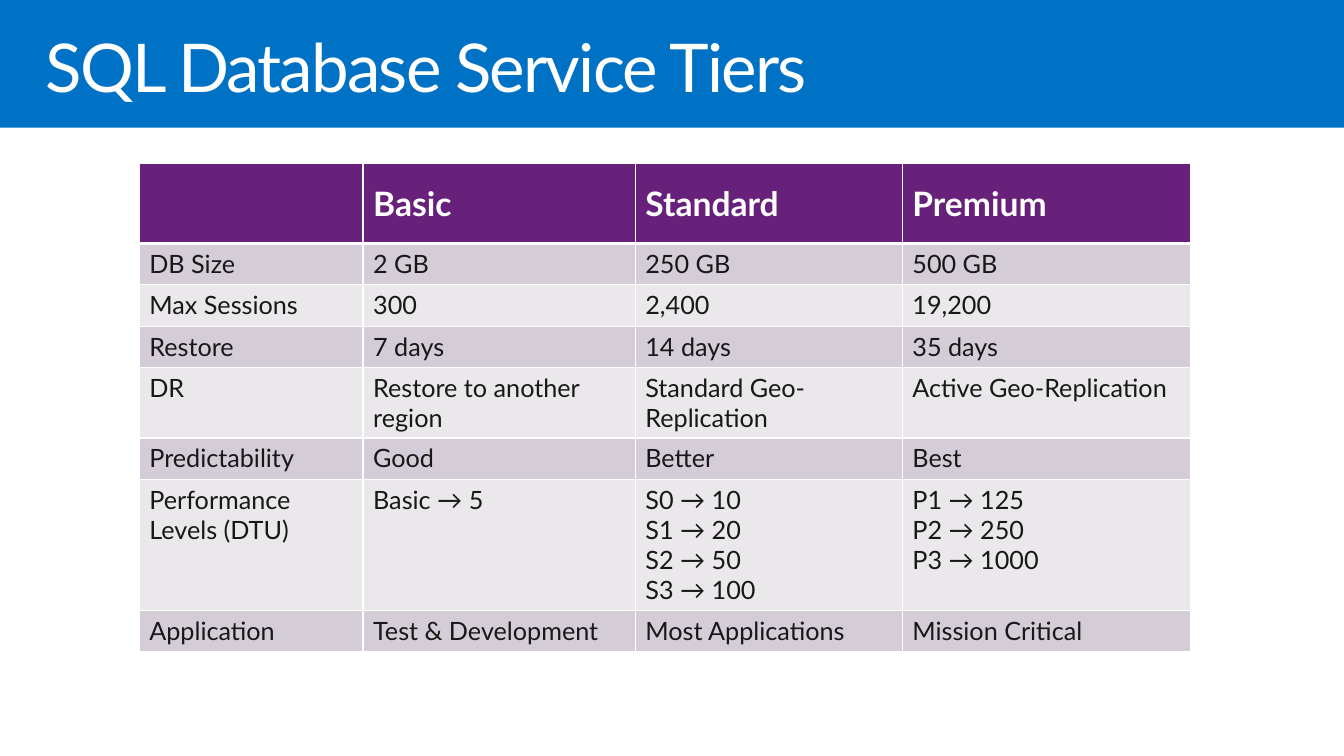
from dataclasses import dataclass

from lxml import etree
from pptx import Presentation
from pptx.dml.color import RGBColor
from pptx.enum.shapes import MSO_SHAPE
from pptx.enum.text import MSO_ANCHOR, PP_ALIGN
from pptx.oxml.ns import qn
from pptx.util import Cm, Pt

RECTANGLE = MSO_SHAPE.RECTANGLE
TOP, MIDDLE = MSO_ANCHOR.TOP, MSO_ANCHOR.MIDDLE
LEFT = PP_ALIGN.LEFT

FONT = "Lato"
BLUE, PURPLE, WHITE, INK = "0072C6", "68217A", "FFFFFF", "181818"
BANDS = ("D4CDD7", "EBE8EC")
TITLE_ONLY = 5
COLUMN_WIDTHS = (5.64, 6.86, 6.73, 7.26)
HEADER_HEIGHT, ROW_HEIGHT = 2.03, 1.04


@dataclass
class CellStyle:
    fill: str
    color: str
    size: int
    bold: bool
    anchor: MSO_ANCHOR
    top: int = 1
    bottom: int = 1


TIERS = [
    ("", "Basic", "Standard", "Premium"),
    ("DB Size", "2 GB", "250 GB", "500 GB"),
    ("Max Sessions", "300", "2,400", "19,200"),
    ("Restore", "7 days", "14 days", "35 days"),
    ("DR", "Restore to another region", "Standard Geo-Replication",
     "Active Geo-Replication"),
    ("Predictability", "Good", "Better", "Best"),
    ("Performance Levels (DTU)", "Basic → 5",
     "S0 → 10\nS1 → 20\nS2 → 50\nS3 → 100",
     "P1 → 125\nP2 → 250\nP3 → 1000"),
    ("Application", "Test & Development", "Most Applications",
     "Mission Critical"),
]


def rgb(value: str) -> RGBColor:
    return RGBColor.from_string(value)


def format_text(tf, size: int, color: str, bold: bool = False) -> None:
    for p in tf.paragraphs:
        for r in p.runs:
            r.font.name = FONT
            r.font.size = Pt(size)
            r.font.bold = bold
            r.font.color.rgb = rgb(color)


def add_border(cell, side: str, width: int) -> None:
    tc_pr = cell._tc.get_or_add_tcPr()
    ln = etree.SubElement(tc_pr, qn(f"a:ln{side}"), w=str(Pt(width)))
    fill = etree.SubElement(ln, qn("a:solidFill"))
    etree.SubElement(fill, qn("a:srgbClr"), val=WHITE)


def fill_cell(cell, text: str, style: CellStyle) -> None:
    cell.text_frame.text = text
    format_text(cell.text_frame, style.size, style.color, style.bold)
    cell.vertical_anchor = style.anchor
    # Borders come before the fill in the cell properties
    for side, width in zip("LRTB", (1, 1, style.top, style.bottom)):
        add_border(cell, side, width)
    cell.fill.solid()
    cell.fill.fore_color.rgb = rgb(style.fill)


def row_style(row: int) -> CellStyle:
    if row == 0:
        return CellStyle(PURPLE, WHITE, 24, True, MIDDLE, bottom=3)
    return CellStyle(BANDS[(row - 1) % 2], INK, 18, False, TOP,
                     top=3 if row == 1 else 1)


def add_title(slide, text: str) -> None:
    # Blue band, placed behind the title
    band = slide.shapes.add_shape(RECTANGLE, 0, 0, Cm(33.87), Cm(3.22))
    band.shadow.inherit = False
    band.fill.solid()
    band.fill.fore_color.rgb = rgb(BLUE)
    band.line.fill.background()
    title = slide.shapes.title
    title._element.addprevious(band._element)

    title.left, title.top = Cm(1.15), Cm(0.86)
    title.width, title.height = Cm(30.99), Cm(1.86)
    tf = title.text_frame
    tf.text = text
    tf.margin_left = tf.margin_right = tf.margin_top = tf.margin_bottom = 0
    tf.vertical_anchor = MIDDLE
    p = tf.paragraphs[0]
    p.alignment = LEFT
    p.line_spacing = 0.9
    format_text(tf, 48, WHITE)
    p.runs[0].font._element.set("spc", "-130")


def add_tier_table(slide) -> None:
    height = HEADER_HEIGHT + ROW_HEIGHT * (len(TIERS) - 1)
    table = slide.shapes.add_table(
        len(TIERS), len(COLUMN_WIDTHS), Cm(3.51), Cm(4.11),
        Cm(sum(COLUMN_WIDTHS)), Cm(height)).table
    for column, width in zip(table.columns, COLUMN_WIDTHS):
        column.width = Cm(width)
    for i, texts in enumerate(TIERS):
        table.rows[i].height = Cm(ROW_HEIGHT if i else HEADER_HEIGHT)
        for j, text in enumerate(texts):
            fill_cell(table.cell(i, j), text, row_style(i))


def main() -> None:
    prs = Presentation()
    prs.slide_width, prs.slide_height = Cm(33.87), Cm(19.05)
    slide = prs.slides.add_slide(prs.slide_layouts[TITLE_ONLY])
    add_title(slide, "SQL Database Service Tiers")
    add_tier_table(slide)
    prs.save("out.pptx")


if __name__ == "__main__":
    main()
